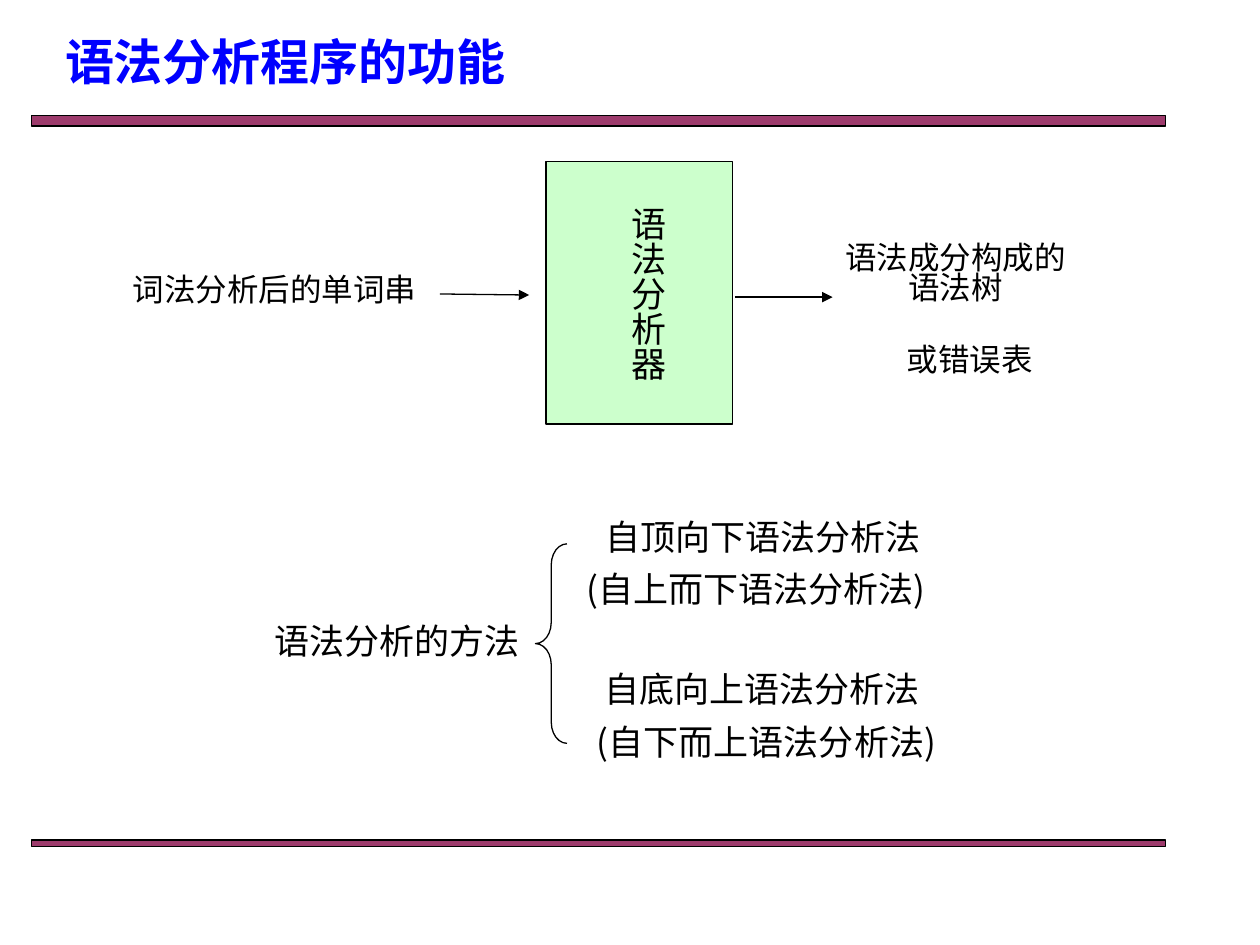
from pptx import Presentation
from pptx.dml.color import RGBColor
from pptx.enum.shapes import MSO_CONNECTOR, MSO_SHAPE
from pptx.enum.text import MSO_ANCHOR, MSO_AUTO_SIZE, PP_ALIGN
from pptx.oxml.ns import qn
from pptx.util import Inches, Pt
from lxml import etree

RECTANGLE, LEFT_BRACE = MSO_SHAPE.RECTANGLE, MSO_SHAPE.LEFT_BRACE
STRAIGHT = MSO_CONNECTOR.STRAIGHT
TOP, NO_FIT = MSO_ANCHOR.TOP, MSO_AUTO_SIZE.NONE
LEFT, CENTER = PP_ALIGN.LEFT, PP_ALIGN.CENTER

COLORS = {"title": "0000FF", "rule": "993366", "box": "CCFFCC", "ink": "000000"}
LATIN_FONT, CHINESE_FONT = "Times New Roman", "Noto Sans CJK SC"
COLUMNS, ROWS = 120, 90
SLIDE_WIDTH, SLIDE_HEIGHT = Inches(10), Inches(7.5)


def color(name):
    return RGBColor.from_string(COLORS[name])


def place(region, left, top, *size):
    """Turn grid cells counted from the region's corner into slide lengths."""
    cells = (region[0] + left, region[1] + top, *size)
    units = (SLIDE_WIDTH / COLUMNS, SLIDE_HEIGHT / ROWS) * 2
    return [int(cell * unit) for cell, unit in zip(cells, units)]


def add_run(paragraph, text, size, color_name="ink", latin=CHINESE_FONT, bold=False):
    run = paragraph.add_run()
    run.text = text
    run.font.size, run.font.bold, run.font.name = Pt(size), bold, latin
    run.font.color.rgb = color(color_name)
    properties = run.font._element
    etree.SubElement(properties, qn("a:ea")).set("typeface", CHINESE_FONT)


def add_label(slide, box, text, size, align=CENTER, spacing=1.0, inset=0.05):
    frame = slide.shapes.add_textbox(*box).text_frame
    frame.word_wrap = True
    frame.margin_top = Inches(inset)
    paragraph = frame.paragraphs[0]
    paragraph.alignment, paragraph.line_spacing = align, spacing
    add_run(paragraph, text, size)
    return frame


def add_outline(slide, preset, box, fill=None):
    shape = slide.shapes.add_shape(preset, *box)
    shape.shadow.inherit = False
    shape.line.color.rgb = color("ink")
    shape.line.width = Pt(0.75)
    if fill:
        shape.fill.solid()
        shape.fill.fore_color.rgb = color(fill)
    else:
        shape.fill.background()
    return shape


def add_arrow(slide, start, end):
    arrow = slide.shapes.add_connector(STRAIGHT, *start, *end)
    arrow.line.color.rgb = color("ink")
    arrow.line.width = Pt(0.75)
    etree.SubElement(arrow.line._get_or_add_ln(), qn("a:tailEnd")).set("type", "triangle")
    etree.SubElement(arrow.element.spPr, qn("a:effectLst"))


def add_rule(slide, box):
    rule = add_outline(slide, RECTANGLE, box, "rule")
    fill_color = rule.element.spPr.find(f"{qn('a:solidFill')}/{qn('a:srgbClr')}")
    etree.SubElement(fill_color, qn("a:alpha")).set("val", "96000")


def format_title(slide, box, text):
    title = slide.shapes.title
    title.left, title.top, title.width, title.height = box
    frame = title.text_frame
    frame.auto_size, frame.vertical_anchor = NO_FIT, TOP
    paragraph = frame.paragraphs[0]
    paragraph.alignment, paragraph.line_spacing = LEFT, 0.9
    add_run(paragraph, text, 28, "title", LATIN_FONT, True)


def draw_analyser(slide, region):
    """Input words, the analyser box and its results, from left to right."""
    add_outline(slide, RECTANGLE, place(region, 43, 0, 17.8, 25), "box")
    name = add_label(slide, place(region, 48.8, 3.1, 6.5, 18), "语法分析器", 20)
    name.word_wrap = False
    name._txBody.find(qn("a:bodyPr")).set("vert", "eaVert")

    labels = [
        ("词法分析后的单词串", (0, 9.9, 34.3, 4.8), CENTER),
        ("语法成分构成的语法树", (68.9, 6.9, 26.2, 12.4), CENTER),
        ("或错误表", (76.2, 16.6, 21.1, 6.8), LEFT),
    ]
    for text, cells, align in labels:
        add_label(slide, place(region, *cells), text, 18, align, 0.8, 0.09)

    for start, end in [((32.9, 12.6), (41.4, 12.7)), ((61, 12.9), (70.3, 12.9))]:
        add_arrow(slide, place(region, *start), place(region, *end))


def draw_methods(slide, region):
    """A label and a brace that opens to the two kinds of method."""
    brace = add_outline(slide, LEFT_BRACE, place(region, 31, 3.3, 3, 19))
    brace.adjustments[0] = 0.67
    labels = [
        ("语法分析的方法", 0, 9.9, 35.6),
        ("自顶向下语法分析法", 33.2, 0, 39),
        ("(自上而下语法分析法)", 33, 5, 38),
        ("自底向上语法分析法", 34.6, 14.5, 36),
        ("(自下而上语法分析法)", 33.5, 19.5, 39),
    ]
    for text, left, top, width in labels:
        add_label(slide, place(region, left, top, width, 5.3), text, 20)


def main():
    presentation = Presentation()
    presentation.slide_width, presentation.slide_height = SLIDE_WIDTH, SLIDE_HEIGHT
    slide = presentation.slides.add_slide(presentation.slide_layouts[5])
    page = (0, 0)
    add_rule(slide, place(page, 3, 11, 108, 1))
    add_rule(slide, place(page, 3, 80, 108, 0.6))
    format_title(slide, place(page, 5, 3, 104.9, 8), "语法分析程序的功能")
    draw_analyser(slide, (9, 15.4))
    draw_methods(slide, (20, 48.5))
    presentation.save("out.pptx")


if __name__ == "__main__":
    main()
